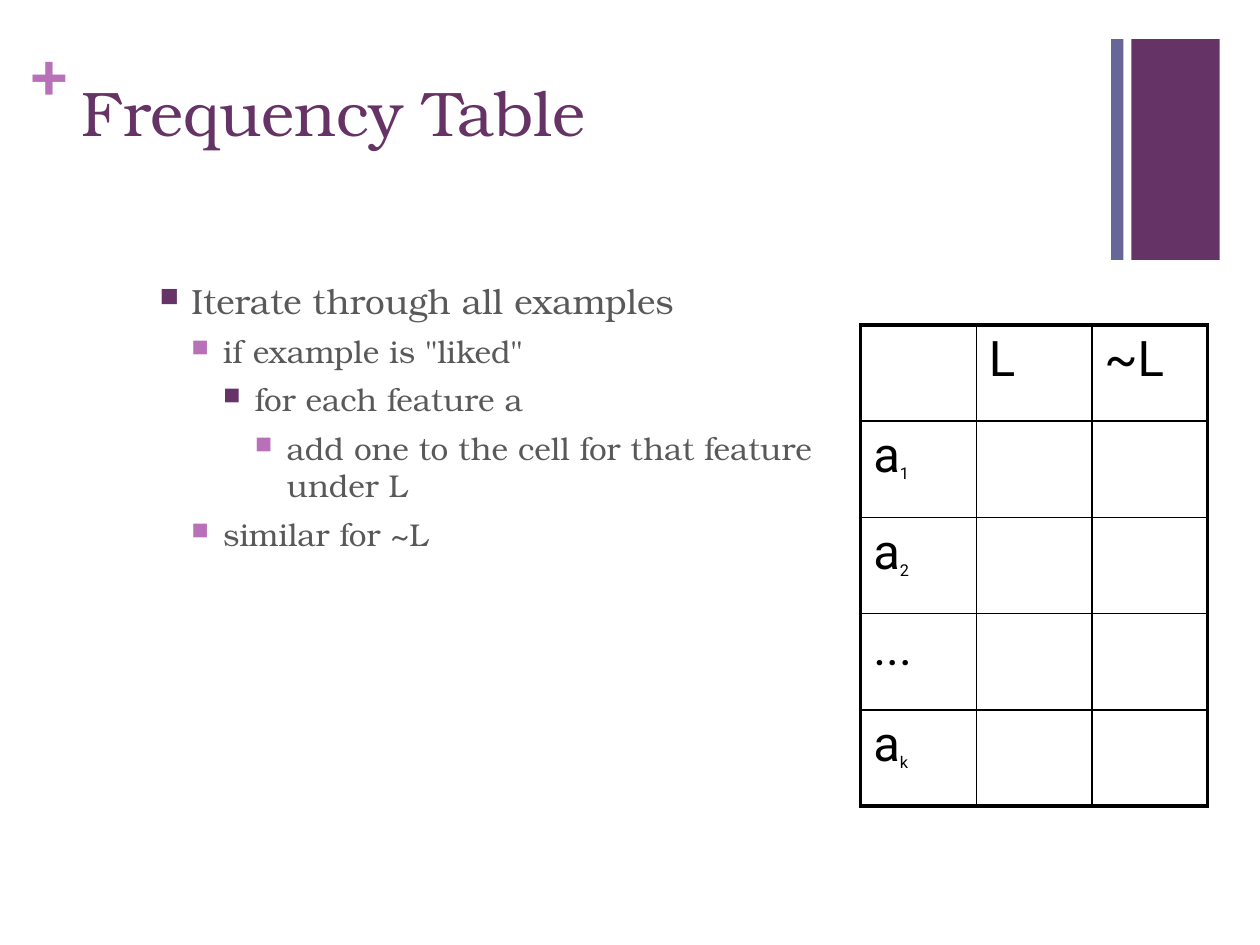
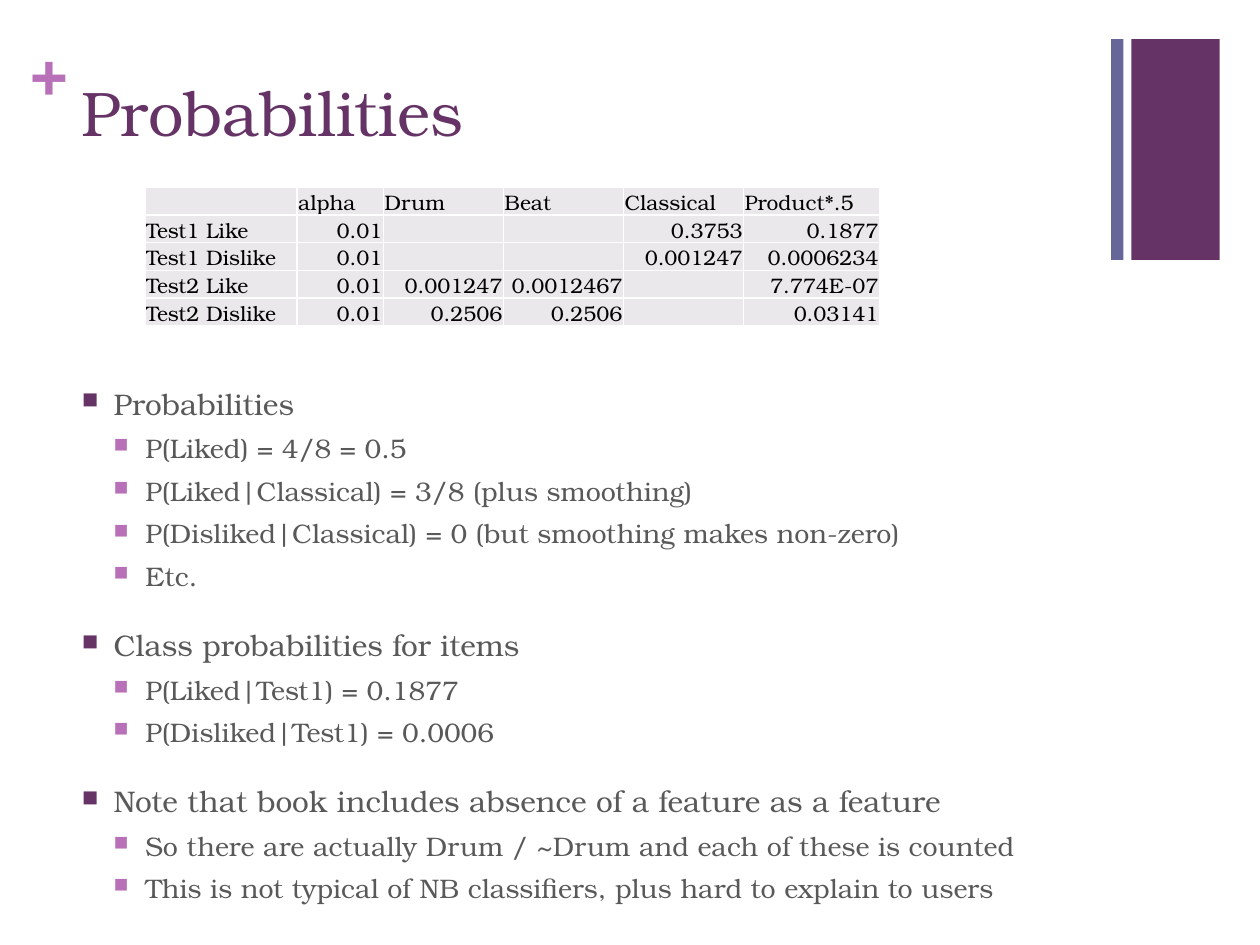
from dataclasses import dataclass

from lxml import etree
from pptx import Presentation
from pptx.dml.color import RGBColor
from pptx.enum.shapes import MSO_SHAPE
from pptx.enum.text import MSO_ANCHOR, PP_ALIGN
from pptx.oxml.ns import qn
from pptx.slide import Slide
from pptx.table import Table, _Cell
from pptx.text.text import TextFrame, _Paragraph
from pptx.util import Cm, Pt

RECTANGLE = MSO_SHAPE.RECTANGLE
BOTTOM = MSO_ANCHOR.BOTTOM
LEFT, RIGHT = PP_ALIGN.LEFT, PP_ALIGN.RIGHT

COLORS = {
    "plum": "663366",
    "orchid": "B870B8",
    "slate": "666699",
    "body": "595959",
    "black": "000000",
    "white": "FFFFFF",
    "cell": "EAE8EA",
}
SERIF, SANS = "TeX Gyre Bonum", "Roboto"
BLANK_LAYOUT = 6
INDENT = 0.64
THIN, THICK = 1, 2.25


@dataclass(frozen=True)
class Box:
    left: float
    top: float
    width: float
    height: float

    def lengths(self) -> tuple[Cm, Cm, Cm, Cm]:
        return Cm(self.left), Cm(self.top), Cm(self.width), Cm(self.height)


@dataclass(frozen=True)
class Bar:
    box: Box
    color: str


@dataclass(frozen=True)
class Bullet:
    level: int
    text: str


@dataclass(frozen=True)
class Grid:
    left: float
    top: float
    column_widths: list[float]
    row_height: float
    rows: list[list[str]]


BARS = [
    Bar(Box(22.81, 0.79, 1.78, 4.45), "plum"),
    Bar(Box(22.4, 0.79, 0.25, 4.45), "slate"),
]
PLUS_BOX = Box(0.61, 0.64, 0.74, 1.55)
TITLE_BOX = Box(1.4, 1.35, 20.98, 3.1)

FREQUENCY_BULLETS = [
    Bullet(0, "Iterate through all examples"),
    Bullet(1, 'if example is "liked"'),
    Bullet(2, "for each feature a"),
    Bullet(3, "add one to the cell for that feature under L"),
    Bullet(1, "similar for ~L"),
]
FREQUENCY_GRID = Grid(
    17.35, 6.55, [2.33] * 3, 1.94,
    [["", "L", "~L"]] + [[label, "", ""] for label in ("a_1", "a_2", "...", "a_k")],
)
PROBABILITY_BULLETS = [
    Bullet(0, "Probabilities"),
    Bullet(1, "P(Liked) = 4/8 = 0.5"),
    Bullet(1, "P(Liked|Classical) = 3/8 (plus smoothing)"),
    Bullet(1, "P(Disliked|Classical) = 0 (but smoothing makes non-zero)"),
    Bullet(1, "Etc."),
    Bullet(0, "Class probabilities for items"),
    Bullet(1, "P(Liked|Test1) = 0.1877"),
    Bullet(1, "P(Disliked|Test1) = 0.0006"),
    Bullet(0, "Note that book includes absence of a feature as a feature"),
    Bullet(1, "So there are actually Drum / ~Drum and each of these is counted"),
    Bullet(1, "This is not typical of NB classifiers, plus hard to explain to users"),
]
PROBABILITY_GRID = Grid(
    2.92, 3.77, [3.07, 1.74, 2.42, 2.42, 2.42, 2.74], 0.56,
    [
        ["", "alpha", "Drum", "Beat", "Classical", "Product*.5"],
        ["Test1 Like", "0.01", "", "", "0.3753", "0.1877"],
        ["Test1 Dislike", "0.01", "", "", "0.001247", "0.0006234"],
        ["Test2 Like", "0.01", "0.001247", "0.0012467", "", "7.774E-07"],
        ["Test2 Dislike", "0.01", "0.2506", "0.2506", "", "0.03141"],
    ],
)


def write_text(
    paragraph: _Paragraph, text: str, *, size: float, color: str,
    font: str = SERIF, bold: bool = False, baseline: int = 0,
) -> None:
    run = paragraph.add_run()
    run.text = text
    run.font.size = Pt(size)
    run.font.name = font
    run.font.bold = bold
    run.font.color.rgb = RGBColor.from_string(COLORS[color])
    if baseline:
        run.font._element.set("baseline", str(baseline * 1000))


def add_text_frame(slide: Slide, box: Box) -> TextFrame:
    text_frame = slide.shapes.add_textbox(*box.lengths()).text_frame
    text_frame.word_wrap = True
    return text_frame


def add_bar(slide: Slide, bar: Bar) -> None:
    shape = slide.shapes.add_shape(RECTANGLE, *bar.box.lengths())
    shape.shadow.inherit = False
    shape.fill.solid()
    shape.fill.fore_color.rgb = RGBColor.from_string(COLORS[bar.color])
    shape.line.fill.background()


def add_titled_slide(presentation: Presentation, title: str) -> Slide:
    slide = presentation.slides.add_slide(presentation.slide_layouts[BLANK_LAYOUT])
    for bar in BARS:
        add_bar(slide, bar)
    plus = add_text_frame(slide, PLUS_BOX)
    plus.word_wrap = False
    plus.margin_left = plus.margin_right = plus.margin_top = plus.margin_bottom = 0
    write_text(plus.paragraphs[0], "+", size=36, color="orchid", bold=True)
    heading = add_text_frame(slide, TITLE_BOX)
    write_text(heading.paragraphs[0], title, size=36, color="plum")
    return slide


def set_bullet(paragraph: _Paragraph, level: int) -> None:
    paragraph.level = level
    paragraph.space_before = Pt(6 if level else 20)
    properties = paragraph._p.get_or_add_pPr()
    properties.set("marL", str(Cm(INDENT * (level + 1))))
    properties.set("indent", str(-Cm(INDENT)))
    bullet_color = etree.SubElement(properties, qn("a:buClr"))
    color = COLORS["orchid" if level % 2 else "plum"]
    etree.SubElement(bullet_color, qn("a:srgbClr"), val=color)
    etree.SubElement(properties, qn("a:buSzPct"), val="75000")
    etree.SubElement(properties, qn("a:buChar"), char="■")


def add_bullets(
    slide: Slide, box: Box, bullets: list[Bullet], top_size: float, lower_size: float
) -> None:
    text_frame = add_text_frame(slide, box)
    for index, bullet in enumerate(bullets):
        paragraph = text_frame.add_paragraph() if index else text_frame.paragraphs[0]
        set_bullet(paragraph, bullet.level)
        size = lower_size if bullet.level else top_size
        write_text(paragraph, bullet.text, size=size, color="body")


def set_borders(cell: _Cell, color: str, widths: list[float]) -> None:
    properties = cell._tc.get_or_add_tcPr()
    for index, (side, width) in enumerate(zip("LRTB", widths)):
        line = etree.Element(qn(f"a:ln{side}"), w=str(Pt(width)))
        fill = etree.SubElement(line, qn("a:solidFill"))
        etree.SubElement(fill, qn("a:srgbClr"), val=COLORS[color])
        properties.insert(index, line)


def add_grid(slide: Slide, grid: Grid) -> Table:
    row_count, column_count = len(grid.rows), len(grid.column_widths)
    box = Box(grid.left, grid.top, sum(grid.column_widths), grid.row_height * row_count)
    table = slide.shapes.add_table(row_count, column_count, *box.lengths()).table
    table.first_row = table.horz_banding = False
    for column, width in zip(table.columns, grid.column_widths):
        column.width = Cm(width)
    for row in table.rows:
        row.height = Cm(grid.row_height)
    return table


def add_frequency_table(slide: Slide, grid: Grid) -> None:
    table = add_grid(slide, grid)
    last_row, last_column = len(grid.rows) - 1, len(grid.column_widths) - 1
    for row, texts in enumerate(grid.rows):
        for column, text in enumerate(texts):
            cell = table.cell(row, column)
            cell.fill.background()
            outer = [column == 0, column == last_column, row == 0, row == last_row]
            set_borders(cell, "black", [THICK if edge else THIN for edge in outer])
            base, _, subscript = text.partition("_")
            paragraph = cell.text_frame.paragraphs[0]
            if base:
                write_text(paragraph, base, size=28, color="black", font=SANS)
            if subscript:
                write_text(paragraph, subscript, size=16, color="black", font=SANS, baseline=-25)


def add_probability_table(slide: Slide, grid: Grid) -> None:
    table = add_grid(slide, grid)
    for row, texts in enumerate(grid.rows):
        for column, text in enumerate(texts):
            cell = table.cell(row, column)
            cell.fill.solid()
            cell.fill.fore_color.rgb = RGBColor.from_string(COLORS["cell"])
            set_borders(cell, "white", [THIN] * 4)
            cell.margin_left = cell.margin_right = cell.margin_top = Cm(0.02)
            cell.margin_bottom = 0
            cell.vertical_anchor = BOTTOM
            paragraph = cell.text_frame.paragraphs[0]
            paragraph.alignment = RIGHT if row and column else LEFT
            if text:
                write_text(paragraph, text, size=12, color="black")
            else:
                etree.SubElement(paragraph._p, qn("a:endParaRPr"), sz="1200")


def main() -> None:
    presentation = Presentation()
    presentation.slide_width, presentation.slide_height = Cm(25.4), Cm(19.05)

    frequency_slide = add_titled_slide(presentation, "Frequency Table")
    add_bullets(frequency_slide, Box(2.97, 5.51, 13.97, 11.43), FREQUENCY_BULLETS, 20, 18)
    add_frequency_table(frequency_slide, FREQUENCY_GRID)

    probability_slide = add_titled_slide(presentation, "Probabilities")
    add_bullets(probability_slide, Box(1.4, 7.65, 20.98, 9.37), PROBABILITY_BULLETS, 17, 15.3)
    add_probability_table(probability_slide, PROBABILITY_GRID)

    presentation.save("out.pptx")


main()
